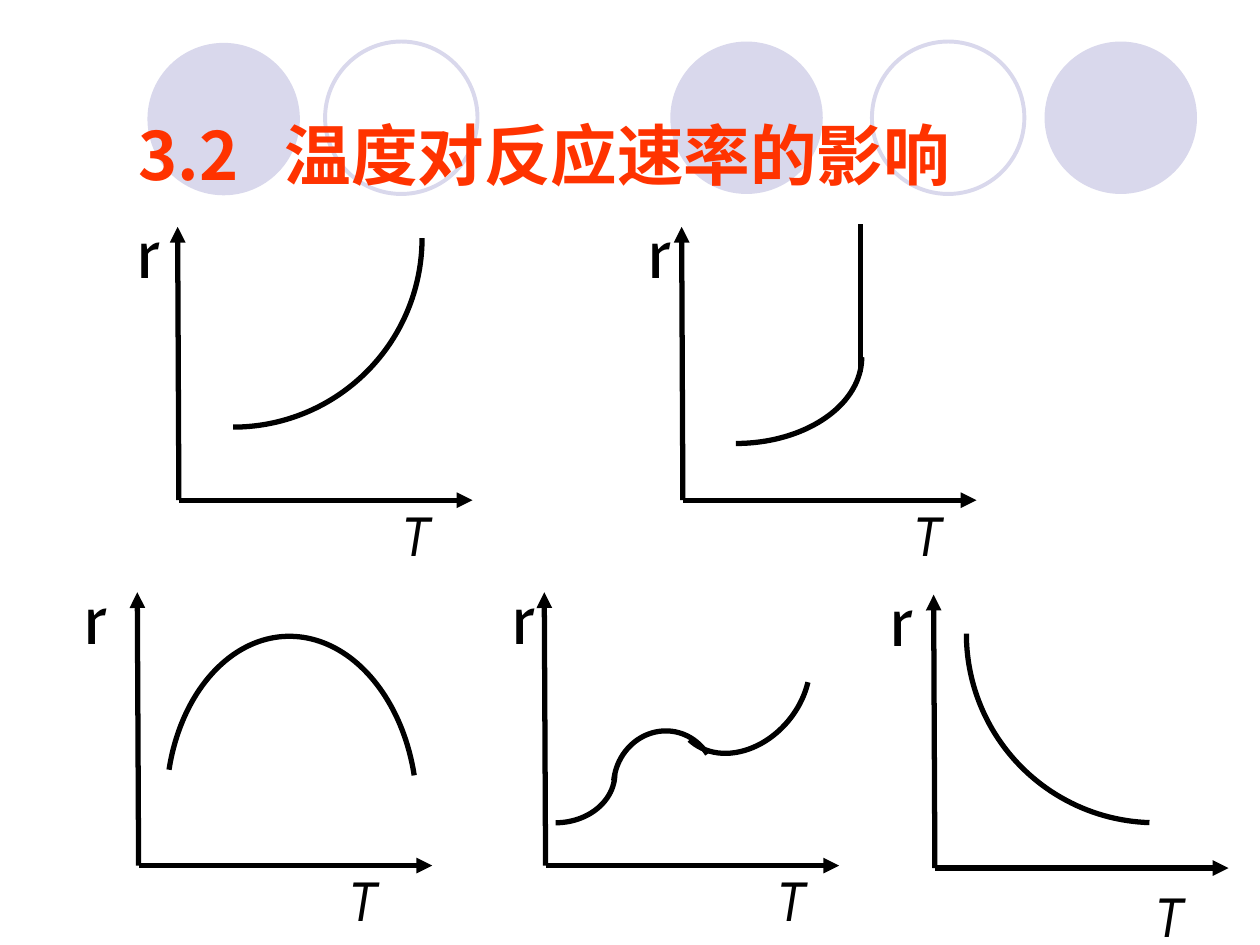
from lxml.etree import SubElement
from pptx import Presentation
from pptx.dml.color import RGBColor
from pptx.enum.shapes import MSO_CONNECTOR, MSO_SHAPE as Shape
from pptx.enum.text import MSO_ANCHOR, MSO_AUTO_SIZE, PP_ALIGN
from pptx.oxml.ns import qn
from pptx.util import Pt

PX = 9144  # 100 px to the inch
HEX = {"ring": "D9D8EC", "title": "FF3300", "ink": "000000"}
AXIS_W, AXIS_H = 233, 217
LABEL_X, LABEL_Y = 210, 231  # step from the "r" label to the "T" label

# Dots of the band: left, top, filled
DOTS = [(532, 33, True), (829, 33, True), (117, 34, True),
        (692, 33, False), (258, 33, False)]

# Arcs are (x, y, w, h, start, end, turn) and lines (x1, y1, x2, y2),
# both measured from the origin of the plot's axes.
PLOTS = [
    {"box": (142, 397), "r": -43, "arcs": [(-107, -358, 300, 300, 0, 90, 0)]},
    {"box": (542, 397), "r": -37, "arcs": [(-58, -182, 200, 137, 0, 90, 0)],
     "lines": [(141, -102, 141, -219)]},
    {"box": (110, 687), "r": -53,
     "arcs": [(22, -182, 199, 274, 199.3, 346.3, -1.6)]},
    {"box": (433, 687), "r": -36,
     "arcs": [(-39, -112, 94, 78, 0, 90, 0),
              (54, -107, 81, 86, 172.9, 312.2, 12),
              (107, -208, 97, 124, 321, 92.3, 39.5)]},
    {"box": (742, 689), "r": -45, "drop": 11,
     "arcs": [(25, -336, 300, 300, 91.8, 180, 0)]},
]


def emu(*vals):
    return [round(v * PX) for v in vals]


def tint(name):
    return RGBColor.from_string(HEX[name])


def stroke(item, name, width):
    item.line.color.rgb = tint(name)
    item.line.width = Pt(width)


def add_run(para, text, font, size, name):
    run = para.add_run()
    run.text = text
    run.font.name = font
    run.font.size = Pt(size)
    run.font.color.rgb = tint(name)
    return run


def add_line(slide, x1, y1, x2, y2, arrow=False):
    line = slide.shapes.add_connector(MSO_CONNECTOR.STRAIGHT,
                                      *emu(x1, y1, x2, y2))
    stroke(line, "ink", 3)
    if arrow:
        SubElement(line.line._get_or_add_ln(), qn("a:tailEnd"), type="triangle")
    SubElement(line._element.spPr, qn("a:effectLst"))


def add_arc(slide, x, y, w, h, start, end, turn):
    arc = slide.shapes.add_shape(Shape.ARC, *emu(x, y, w, h))
    for i, angle in enumerate((start, end)):
        arc.adjustments[i] = angle * 0.6  # 60000 units a degree, over 100000
    arc.rotation = turn
    arc.shadow.inherit = False
    arc.fill.background()
    stroke(arc, "ink", 3)


def add_label(slide, x, y, w, h, text, font, size, italic=False):
    box = slide.shapes.add_textbox(*emu(x, y, w, h))
    box.text_frame.word_wrap = False
    run = add_run(box.text_frame.paragraphs[0], text, font, size, "ink")
    run.font.italic = italic


def add_band(slide, dots, size=121):
    for x, y, full in dots:
        dot = slide.shapes.add_shape(Shape.OVAL, *emu(x, y, size, size))
        dot.shadow.inherit = False
        if full:
            dot.fill.solid()
            dot.fill.fore_color.rgb = tint("ring")
            dot.line.fill.background()
        else:
            dot.fill.background()
            stroke(dot, "ring", 2.25)


def add_title(slide, x, y, w, h):
    """Place the title placeholder in front of the band."""
    title = slide.shapes.title
    slide.shapes._spTree.append(title._element)
    title.left, title.top, title.width, title.height = emu(x, y, w, h)
    frame = title.text_frame
    frame.auto_size = MSO_AUTO_SIZE.NONE
    frame.vertical_anchor = MSO_ANCHOR.MIDDLE
    para = frame.paragraphs[0]
    para.alignment = PP_ALIGN.LEFT
    tabs = SubElement(para._p.get_or_add_pPr(), qn("a:tabLst"))
    SubElement(tabs, qn("a:tab"), pos=str(116 * PX), algn="l")
    run = add_run(para, "3.2\t温度对反应速率的影响", "Noto Sans CJK SC", 38, "title")
    run.font.bold = True
    SubElement(run.font._element, qn("a:ea"), typeface="Noto Sans CJK SC")


def add_plot(slide, box, r, arcs, lines=(), drop=0):
    """Draw a rate-temperature sketch with its axes meeting at box."""
    x, y = box
    add_line(slide, x, y, x + AXIS_W, y, arrow=True)
    add_line(slide, x, y, x - 1, y - AXIS_H, arrow=True)
    for dx, dy, *rest in arcs:
        add_arc(slide, x + dx, y + dy, *rest)
    for x1, y1, x2, y2 in lines:
        add_line(slide, x + x1, y + y1, x + x2, y + y2)
    left, top = x + r, y - 236
    add_label(slide, left, top, 43, 77, "r", "Cabin", 40)
    add_label(slide, left + LABEL_X, top + LABEL_Y + drop, 42, 64,
              "T", "Arial Narrow", 32, italic=True)


def main():
    deck = Presentation()
    deck.slide_width, deck.slide_height = emu(1000, 750)
    slide = deck.slides.add_slide(deck.slide_layouts[5])
    add_band(slide, DOTS)
    add_title(slide, 100, 92, 808, 61)
    for plot in PLOTS:
        add_plot(slide, **plot)
    deck.save("out.pptx")


if __name__ == "__main__":
    main()
